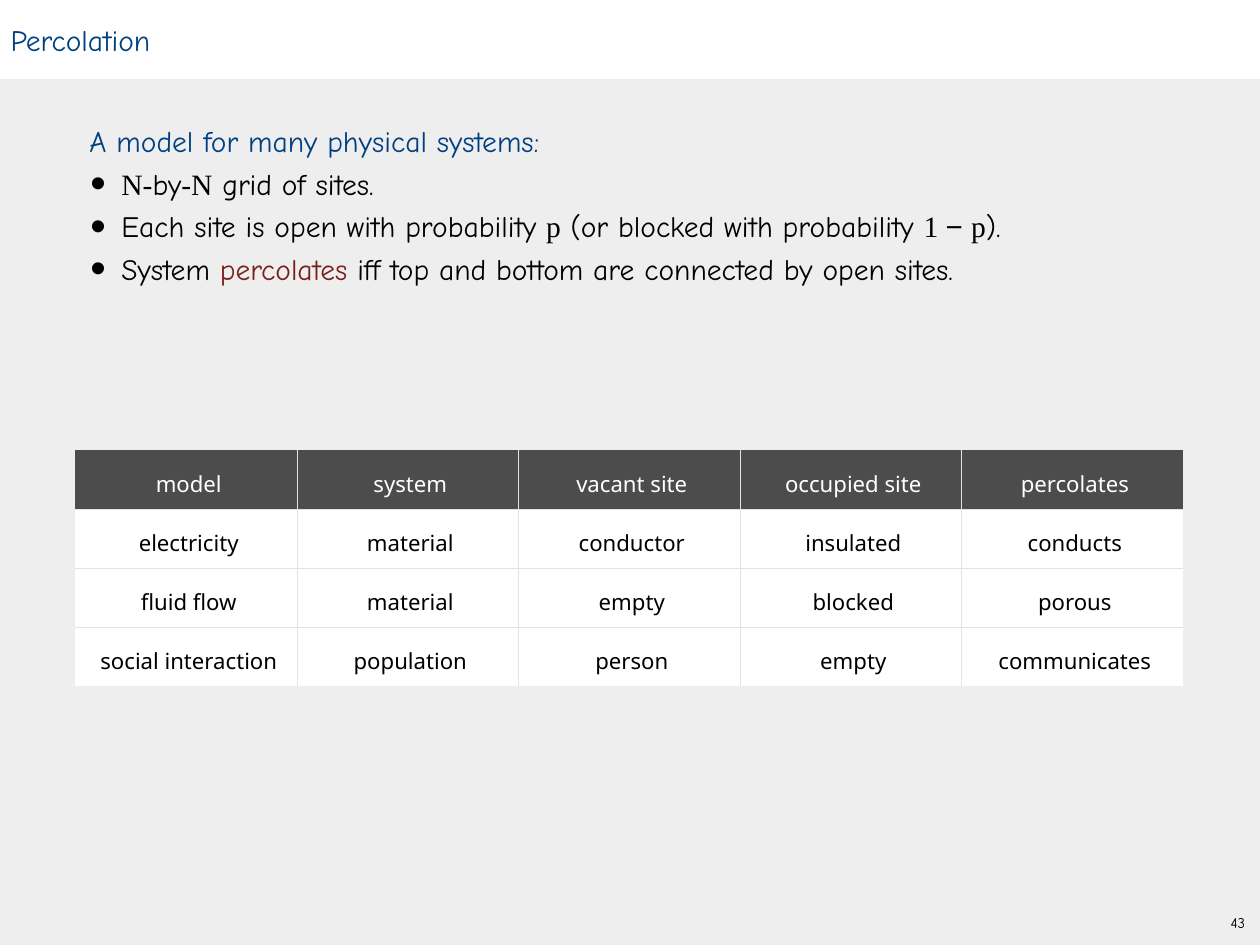
from lxml import etree
from pptx import Presentation
from pptx.dml.color import RGBColor
from pptx.enum.text import MSO_ANCHOR, MSO_AUTO_SIZE, PP_ALIGN
from pptx.oxml.ns import qn
from pptx.util import Inches, Pt

LEFT, CENTER = PP_ALIGN.LEFT, PP_ALIGN.CENTER
TOP, MIDDLE = MSO_ANCHOR.TOP, MSO_ANCHOR.MIDDLE
NO_AUTOFIT = MSO_AUTO_SIZE.NONE
TITLE_ONLY = 5

COLORS = {
    "background": "EEEEEE", "white": "FFFFFF", "black": "000000",
    "heading": "004080", "accent": "79211B", "header": "4C4C4C", "rule": "E1E4E5",
}
HAND, MATH, SYMBOL, TABLE = "Comic Neue", "Times New Roman", "Arial", "Noto Sans"

HEADING = "A model for many physical systems:"
BULLETS = [
    [("N-", MATH), ("by", HAND), ("-N", MATH), (" grid of sites.", HAND)],
    [("Each site is open with probability ", HAND), ("p", MATH),
     (" (or blocked with probability ", HAND), ("1 ", MATH), ("− ", SYMBOL),
     ("p", MATH), (").", HAND)],
    [("System ", HAND), ("percolates", HAND, "accent"),
     (" iff top and bottom are connected by open sites.", HAND)],
]
MODELS = [
    ["model", "system", "vacant site", "occupied site", "percolates"],
    ["electricity", "material", "conductor", "insulated", "conducts"],
    ["fluid flow", "material", "empty", "blocked", "porous"],
    ["social interaction", "population", "person", "empty", "communicates"],
]


def rgb(name):
    return RGBColor.from_string(COLORS[name])


def apply(target, values):
    for name, value in values.items():
        setattr(target, name, value)


class PercolationSlide:
    """Holds the slide style and draws each kind of element."""

    margin = Inches(0.06)

    def __init__(self, prs):
        self.slide = prs.slides.add_slide(prs.slide_layouts[TITLE_ONLY])
        self.paint(self.slide.background.fill, "background")

    def paint(self, fill, color):
        fill.solid()
        fill.fore_color.rgb = rgb(color)

    def frame(self, target, anchor, right=margin):
        apply(target, {
            "margin_left": self.margin, "margin_top": self.margin,
            "margin_right": right, "margin_bottom": self.margin,
            "vertical_anchor": anchor,
        })

    def paragraph(self, paragraph, runs, size, align=LEFT, spacing=1.0,
                  color="black", indent=(0.06, 0)):
        apply(paragraph, {"alignment": align, "line_spacing": spacing,
                          "space_before": Pt(0), "space_after": Pt(0)})
        properties = paragraph._p.get_or_add_pPr()
        for name, length in zip(("marL", "indent"), indent):
            properties.set(name, str(Inches(length)))
        for text, font, *own_color in runs:
            run = paragraph.add_run()
            run.text = text
            apply(run.font, {"name": font, "size": Pt(size), "bold": False})
            run.font.color.rgb = rgb(own_color[0] if own_color else color)

    def bullet(self, paragraph):
        properties = paragraph._p.get_or_add_pPr()
        for tag, name, value in (("a:buSzPct", "val", "150000"),
                                 ("a:buFont", "typeface", SYMBOL),
                                 ("a:buChar", "char", "•")):
            etree.SubElement(properties, qn(tag)).set(name, value)

    def title(self, text):
        title = self.slide.shapes.title
        apply(title, {"left": 0, "top": 0,
                      "width": Inches(14.22), "height": Inches(0.89)})
        self.paint(title.fill, "white")
        self.frame(title.text_frame, MIDDLE, Inches(0.18))
        apply(title.text_frame, {"auto_size": NO_AUTOFIT, "word_wrap": True})
        self.paragraph(title.text_frame.paragraphs[0], [(text, HAND)], 24,
                       color="heading")

    def body(self, heading, bullets):
        box = self.slide.shapes.add_textbox(
            Inches(0.89), Inches(1.25), Inches(12.44), Inches(8.89))
        text = box.text_frame
        text.word_wrap = True
        self.frame(text, TOP, Inches(0.18))
        self.paragraph(text.paragraphs[0], [(heading, HAND)], 24,
                       spacing=1.2, color="heading")
        for runs in bullets:
            item = text.add_paragraph()
            item.level = 1
            self.paragraph(item, runs, 24, spacing=1.2, indent=(0.42, -0.35))
            self.bullet(item)

    def border(self, cell, side, visible):
        line = etree.SubElement(cell._tc.get_or_add_tcPr(), qn(f"a:ln{side}"))
        line.set("w", str(Pt(0.25)))
        if visible:
            fill = etree.SubElement(line, qn("a:solidFill"))
            etree.SubElement(fill, qn("a:srgbClr")).set("val", COLORS["rule"])
        else:
            etree.SubElement(line, qn("a:noFill"))

    def table(self, rows):
        last_row, last_column = len(rows) - 1, len(rows[0]) - 1
        table = self.slide.shapes.add_table(
            len(rows), len(rows[0]), Inches(0.85), Inches(5.08),
            Inches(12.5), Inches(2.67)).table
        table.horz_banding = False
        for r, row in enumerate(rows):
            for c, text in enumerate(row):
                cell = table.cell(r, c)
                self.frame(cell, MIDDLE)
                inner = {"L": c > 0, "R": c < last_column,
                         "T": r > 0, "B": r < last_row}
                for side, visible in inner.items():
                    self.border(cell, side, visible)
                self.paint(cell.fill, "white" if r else "header")
                self.paragraph(cell.text_frame.paragraphs[0], [(text, TABLE)], 18,
                               CENTER, 1.3, "black" if r else "white")

    def page_number(self, number):
        box = self.slide.shapes.add_textbox(
            Inches(13.82), Inches(10.25), Inches(0.3), Inches(0.33))
        box.text_frame.word_wrap = False
        self.frame(box.text_frame, MIDDLE)
        self.paragraph(box.text_frame.paragraphs[0], [(number, HAND)], 12,
                       CENTER, indent=(0, 0))


def main():
    prs = Presentation()
    apply(prs, {"slide_width": Inches(14.22), "slide_height": Inches(10.67)})
    slide = PercolationSlide(prs)
    slide.title("Percolation")
    slide.body(HEADING, BULLETS)
    slide.table(MODELS)
    slide.page_number("43")
    prs.save("out.pptx")


if __name__ == "__main__":
    main()
